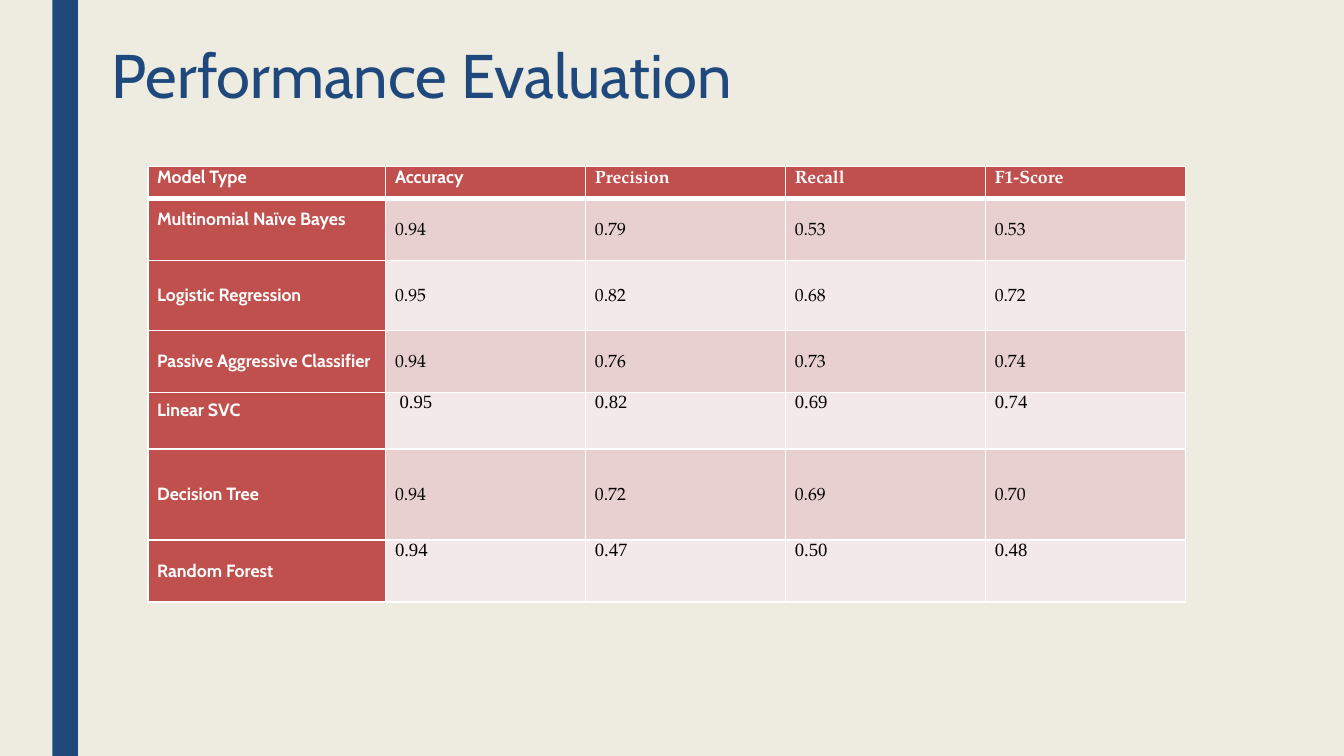
from dataclasses import dataclass

from lxml.etree import SubElement
from pptx import Presentation
from pptx.dml.color import RGBColor
from pptx.enum.shapes import MSO_SHAPE
from pptx.enum.text import MSO_ANCHOR, PP_ALIGN
from pptx.oxml.ns import qn
from pptx.util import Inches, Pt


@dataclass(frozen=True)
class Theme:
    background: str = "EEECE1"
    navy: str = "1F497D"
    red: str = "C0504D"
    bands: tuple = ("E8D0D0", "F4E9E9")
    white: str = "FFFFFF"
    black: str = "000000"
    sans: str = "Cabin"
    serif: str = "TeX Gyre Pagella"
    roman: str = "Times New Roman"
    title_size: float = 33
    cell_size: float = 9.5
    roman_size: float = 10
    leading: float = 11.5


PAGE_WIDTH = 10
PAGE_HEIGHT = PAGE_WIDTH * 9 / 16
HEADERS = ["Model Type", "Accuracy", "Precision", "Recall", "F1-Score"]
RESULTS = [
    ["Multinomial Naïve Bayes", "0.94", "0.79", "0.53", "0.53"],
    ["Logistic Regression", "0.95", "0.82", "0.68", "0.72"],
    ["Passive Aggressive Classifier", "0.94", "0.76", "0.73", "0.74"],
    ["Linear SVC", " 0.95", "0.82", "0.69", "0.74"],
    ["Decision Tree", "0.94", "0.72", "0.69", "0.70"],
    ["Random Forest", "0.94", "0.47", "0.50", "0.48"],
]
TABLE_WIDTH = 7.72
LABEL_WIDTH = 1.77
VALUE_WIDTH = (TABLE_WIDTH - LABEL_WIDTH) / 4
COLUMN_WIDTHS = [LABEL_WIDTH] + [VALUE_WIDTH] * 4
ROW_HEIGHTS = [0.24, 0.46, 0.52, 0.46, 0.42, 0.68, 0.46]
RAISED_LABELS = {"Multinomial Naïve Bayes", "Linear SVC"}
TOP_ALIGNED_MODELS = {"Linear SVC", "Random Forest"}


class SlideBuilder:
    def __init__(self, page, theme):
        self.page = page
        self.theme = theme
        fill = page.background.fill
        fill.solid()
        fill.fore_color.rgb = RGBColor.from_string(theme.background)

    def style(self, paragraph, font, size, color, bold=False):
        paragraph.font.name = font
        paragraph.font.size = Pt(size)
        paragraph.font.bold = bold
        paragraph.font.color.rgb = RGBColor.from_string(color)

    def bar(self, left, top, width, height):
        bar = self.page.shapes.add_shape(
            MSO_SHAPE.RECTANGLE, Inches(left), Inches(top), Inches(width), Inches(height))
        bar.shadow.inherit = False
        bar.fill.solid()
        bar.fill.fore_color.rgb = RGBColor.from_string(self.theme.navy)
        bar.line.fill.background()

    def title(self, text, left, top, width, height):
        box = self.page.shapes.add_textbox(
            Inches(left), Inches(top), Inches(width), Inches(height))
        frame = box.text_frame
        frame.word_wrap = True
        frame.margin_left = frame.margin_right = Inches(0.1)
        frame.margin_top = frame.margin_bottom = Inches(0.1)
        frame.text = text
        paragraph = frame.paragraphs[0]
        paragraph.line_spacing = 0.89
        self.style(paragraph, self.theme.sans, self.theme.title_size, self.theme.navy)

    def borders(self, cell, top, bottom):
        properties = cell._tc.get_or_add_tcPr()
        for side, width in (("L", 1), ("R", 1), ("T", top), ("B", bottom)):
            line = SubElement(properties, qn(f"a:ln{side}"), w=str(Pt(width)))
            fill = SubElement(line, qn("a:solidFill"))
            SubElement(fill, qn("a:srgbClr"), val=self.theme.white)

    def cell(self, cell, text, row, column):
        theme = self.theme
        is_header, is_label = row == 0, column == 0
        is_roman = not is_header and not is_label and RESULTS[row - 1][0] in TOP_ALIGNED_MODELS
        self.borders(cell, 3 if row == 1 else 1, 3 if is_header else 1)
        fill = theme.red if is_header or is_label else theme.bands[(row - 1) % 2]
        cell.fill.solid()
        cell.fill.fore_color.rgb = RGBColor.from_string(fill)
        cell.margin_left = cell.margin_right = Inches(0.07)
        cell.margin_top = 0
        cell.margin_bottom = Pt(theme.leading) if text in RAISED_LABELS else 0
        cell.vertical_anchor = MSO_ANCHOR.TOP if is_header or is_roman else MSO_ANCHOR.MIDDLE
        cell.text = text
        paragraph = cell.text_frame.paragraphs[0]
        if is_header:
            paragraph.alignment = PP_ALIGN.JUSTIFY
            font = theme.sans if column < 2 else theme.serif
            self.style(paragraph, font, theme.cell_size, theme.white, True)
        elif is_label:
            self.style(paragraph, theme.sans, theme.cell_size, theme.white, True)
        elif is_roman:
            self.style(paragraph, theme.roman, theme.roman_size, theme.black)
        else:
            self.style(paragraph, theme.serif, theme.cell_size, theme.black)
        if not is_roman:
            paragraph.line_spacing = Pt(theme.leading)

    def table(self, rows, left, top):
        frame = self.page.shapes.add_table(
            len(rows), len(COLUMN_WIDTHS), Inches(left), Inches(top),
            Inches(TABLE_WIDTH), Inches(sum(ROW_HEIGHTS)))
        table = frame.table
        for column, width in zip(table.columns, COLUMN_WIDTHS):
            column.width = Inches(width)
        for row, height in zip(table.rows, ROW_HEIGHTS):
            row.height = Inches(height)
        for row, values in enumerate(rows):
            for column, text in enumerate(values):
                self.cell(table.cell(row, column), text, row, column)


def main():
    deck = Presentation()
    deck.slide_width = Inches(PAGE_WIDTH)
    deck.slide_height = Inches(PAGE_HEIGHT)
    page = deck.slides.add_slide(deck.slide_layouts[6])
    builder = SlideBuilder(page, Theme())
    builder.bar(0.39, 0, 0.19, PAGE_HEIGHT)
    builder.title("Performance Evaluation", 0.73, 0.24, 7.88, 1.22)
    builder.table([HEADERS] + RESULTS, 1.1, 1.24)
    deck.save("out.pptx")


if __name__ == "__main__":
    main()
